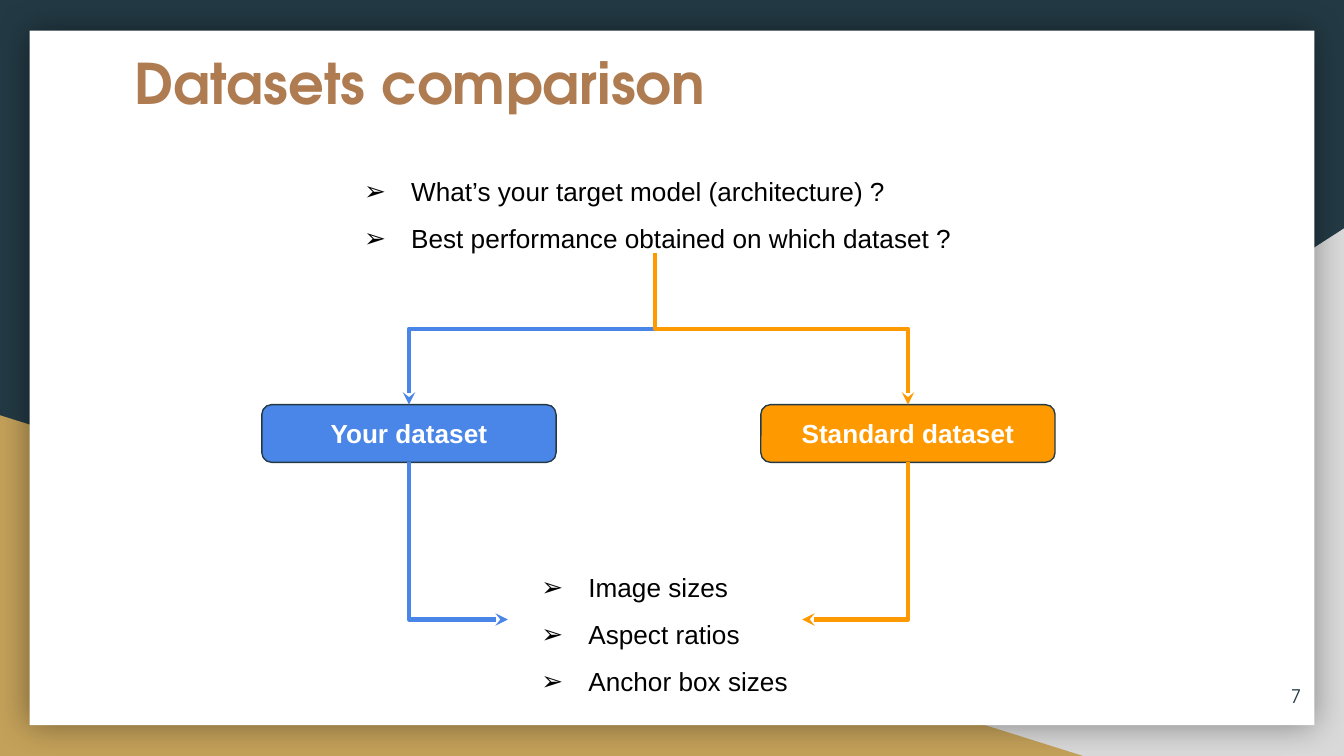
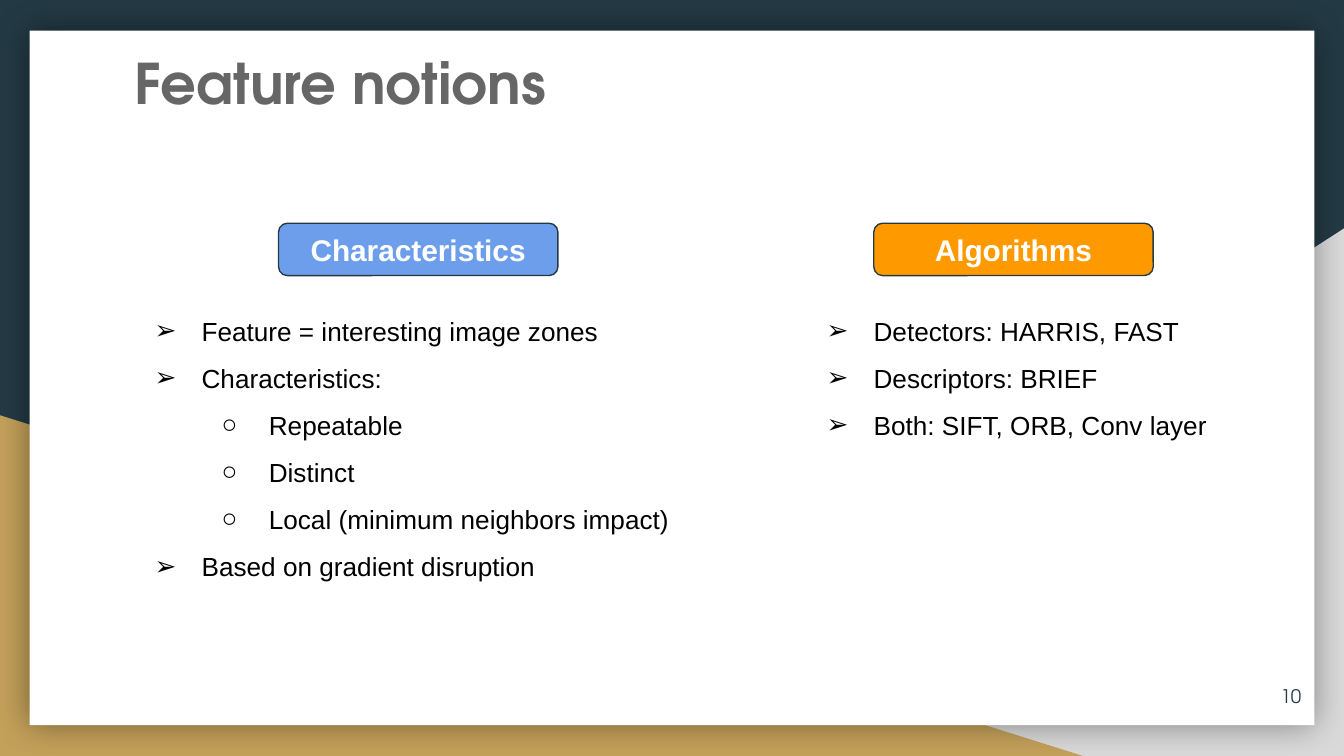
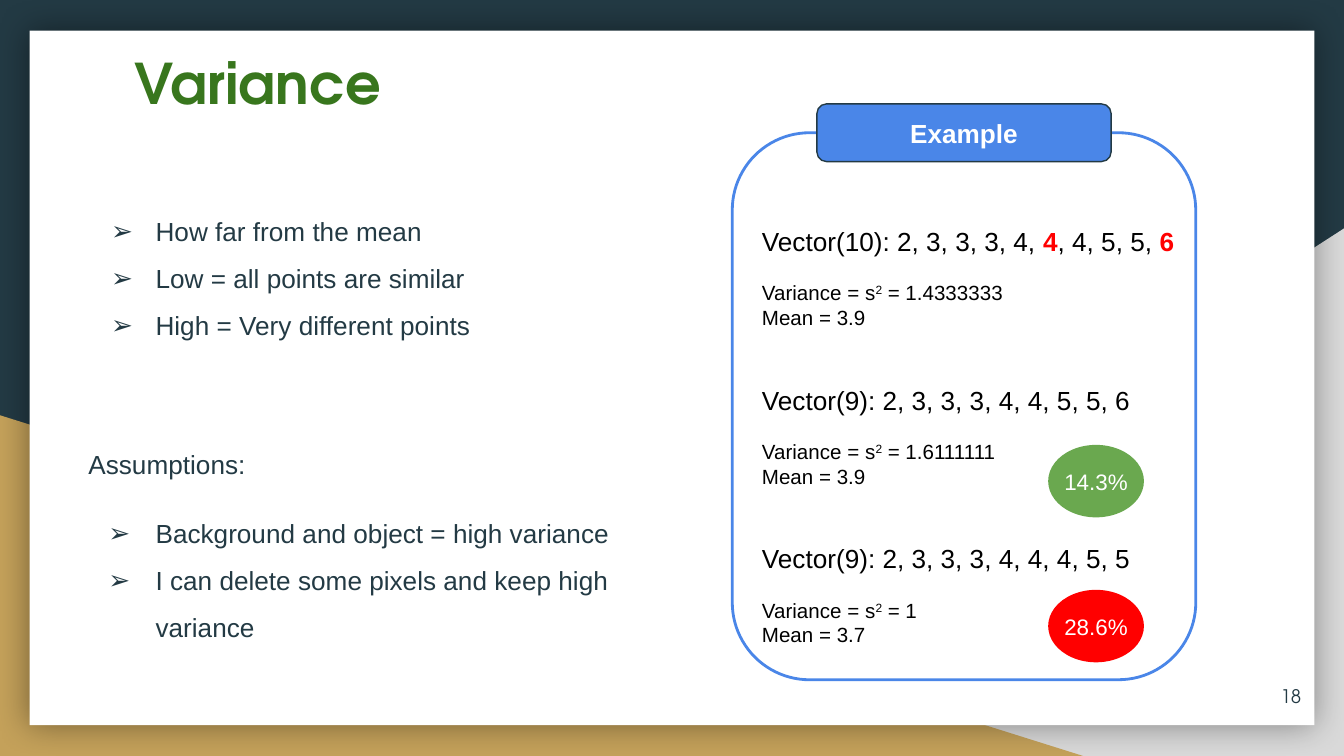
"""Build three slides on datasets, features and variance."""
from lxml import etree
from pptx import Presentation
from pptx.dml.color import RGBColor
from pptx.enum.shapes import MSO_CONNECTOR, MSO_SHAPE
from pptx.enum.text import MSO_ANCHOR, MSO_AUTO_SIZE, PP_ALIGN
from pptx.oxml.ns import qn
from pptx.util import Cm, Pt

ELBOW = MSO_CONNECTOR.ELBOW
RECT, ROUND = MSO_SHAPE.RECTANGLE, MSO_SHAPE.ROUNDED_RECTANGLE
TRIANGLE, OVAL = MSO_SHAPE.RIGHT_TRIANGLE, MSO_SHAPE.OVAL
TOP, MIDDLE = MSO_ANCHOR.TOP, MSO_ANCHOR.MIDDLE
LEFT, CENTER, RIGHT = PP_ALIGN.LEFT, PP_ALIGN.CENTER, PP_ALIGN.RIGHT
NO_FIT = MSO_AUTO_SIZE.NONE

NAVY = RGBColor(0x23, 0x3A, 0x44)
GREY = RGBColor(0xD9, 0xD9, 0xD9)
GOLD = RGBColor(0xC4, 0xA1, 0x5A)
WHITE = RGBColor(0xFF, 0xFF, 0xFF)
BLACK = RGBColor(0, 0, 0)
BLUE = RGBColor(0x4A, 0x86, 0xE8)
LIGHT_BLUE = RGBColor(0x6D, 0x9E, 0xEB)
ORANGE = RGBColor(0xFF, 0x99, 0x00)
RED = RGBColor(0xFF, 0, 0)
GREEN = RGBColor(0x6A, 0xA8, 0x4F)
BROWN = RGBColor(0xAF, 0x7B, 0x51)
DARK_GREY = RGBColor(0x66, 0x66, 0x66)
DARK_GREEN = RGBColor(0x38, 0x76, 0x1D)

BODY_FONT, TITLE_FONT = "Arial", "TeX Gyre Adventor"
INSET = 0.25
BADGE_W, BADGE_H = 5.56, 1.09
ARROW, CIRCLE = "➢", "○"


def apply(obj, **values):
    """Set each given attribute on an object."""
    for name, value in values.items():
        setattr(obj, name, value)


def place(sp, box):
    """Move a shape to a box given in centimetres."""
    apply(sp, **dict(zip(("left", "top", "width", "height"), map(Cm, box))))


def add_run(p, text, color, size, name=BODY_FONT, bold=False):
    """Add one formatted run to a paragraph."""
    r = p.add_run()
    r.text = text
    apply(r.font, size=Pt(size), name=name, bold=bold)
    r.font.color.rgb = color
    return r


def set_frame(tf, anchor=TOP, inset=INSET):
    """Give a text frame its insets, wrapping and anchor."""
    margin = Cm(inset)
    apply(tf, word_wrap=True, auto_size=NO_FIT, vertical_anchor=anchor,
          margin_left=margin, margin_right=margin,
          margin_top=margin, margin_bottom=margin)


def add_text(s, box):
    """Add an empty text box and return its frame."""
    tf = s.shapes.add_textbox(*map(Cm, box)).text_frame
    set_frame(tf)
    return tf


def add_panel(s, kind, box, fill=None, line=None, width=0.75):
    """Add a preset shape with a flat fill and outline."""
    sp = s.shapes.add_shape(kind, *map(Cm, box))
    sp.shadow.inherit = False
    if fill is None:
        sp.fill.background()
    else:
        sp.fill.solid()
        sp.fill.fore_color.rgb = fill
    if line is None:
        sp.line.fill.background()
    else:
        sp.line.color.rgb = line
        sp.line.width = Pt(width)
    return sp


def add_label(sp, text, size, bold=False, inset=INSET):
    """Centre a white label in a shape."""
    tf = sp.text_frame
    set_frame(tf, MIDDLE, inset)
    p = tf.paragraphs[0]
    p.alignment = CENTER
    add_run(p, text, WHITE, size, bold=bold)


def add_badge(s, box, text, fill, size=14):
    """Add a rounded heading badge."""
    add_label(add_panel(s, ROUND, box, fill, NAVY), text, size, bold=True)


def set_bullet(p, char, color, level, hang):
    """Give a paragraph a coloured bullet with a hanging indent."""
    pPr = p._p.get_or_add_pPr()
    pPr.set("marL", str(Cm(1.27 * (level + 1))))
    pPr.set("indent", str(Cm(-hang)))
    clr = etree.SubElement(pPr, qn("a:buClr"))
    etree.SubElement(clr, qn("a:srgbClr")).set("val", str(color))
    etree.SubElement(pPr, qn("a:buChar")).set("char", char)


def clear_bullet(p):
    """Remove a paragraph's bullet and indent."""
    pPr = p._p.get_or_add_pPr()
    pPr.set("marL", "0")
    pPr.set("indent", "0")
    etree.SubElement(pPr, qn("a:buNone"))


def fill_list(sp, box, items, color=BLACK):
    """Fill a body placeholder from (text, bullet, space before, hang) items."""
    place(sp, box)
    tf = sp.text_frame
    set_frame(tf)
    for i, (text, char, before, hang) in enumerate(items):
        p = tf.add_paragraph() if i else tf.paragraphs[0]
        level = int(char == CIRCLE)
        apply(p, level=level, alignment=LEFT, line_spacing=1.5,
              space_before=Pt(before))
        if char:
            set_bullet(p, char, color, level, hang)
        else:
            clear_bullet(p)
        add_run(p, text, color, 14)


def bullets(*texts, char=ARROW):
    """Make plain list items from texts."""
    return [(text, char, 0, 0.89) for text in texts]


def add_bent_arrow(s, start, end, color, preset="bentConnector3"):
    """Draw an elbow arrow that leaves its start vertically."""
    (x1, y1), (x2, y2) = start, end
    w, h = y2 - y1, abs(x2 - x1)
    x, y = (x1 + x2 - w) / 2, (y1 + y2 - h) / 2
    cxn = s.shapes.add_connector(ELBOW, Cm(x), Cm(y), Cm(x + w), Cm(y + h))
    cxn.line.color.rgb = color
    cxn.line.width = Pt(2.25)
    spPr = cxn.element.spPr
    xfrm = spPr.find(qn("a:xfrm"))
    xfrm.set("rot", "16200000" if x2 > x1 else "5400000")
    if x2 > x1:
        xfrm.set("flipH", "1")
    spPr.find(qn("a:prstGeom")).set("prst", preset)
    etree.SubElement(spPr.find(qn("a:ln")), qn("a:tailEnd")).set("type", "stealth")
    etree.SubElement(spPr, qn("a:effectLst"))


def decorate_layout(s):
    """Put the background, triangles and white page on the slide's layout."""
    layout = s.slide_layout
    layout.background.fill.solid()
    layout.background.fill.fore_color.rgb = NAVY
    grey = add_panel(s, TRIANGLE, (9.96, 4.32, 15.44, 9.97), GREY)
    grey.element.spPr.find(qn("a:xfrm")).set("flipH", "1")
    gold = add_panel(s, TRIANGLE, (0, 7.85, 20.47, 6.44), GOLD)
    page = add_panel(s, RECT, (0.56, 0.58, 24.28, 13.13), WHITE)
    effects = page.element.spPr.find(qn("a:effectLst"))
    shadow = etree.SubElement(effects, qn("a:outerShdw"), blurRad=str(Pt(18)))
    clr = etree.SubElement(shadow, qn("a:srgbClr"), val=str(BLACK))
    etree.SubElement(clr, qn("a:alpha"), val="40000")
    for i, sp in enumerate((grey, gold, page)):
        layout.shapes.element.insert(2 + i, sp.element)
    place(layout.placeholders[0], (2.29, 0.66, 20.85, 2.64))


def add_slide(prs, title, color, number):
    """Add a slide with its title and page number."""
    s = prs.slides.add_slide(prs.slide_layouts[3])
    tf = s.shapes.title.text_frame
    set_frame(tf)
    p = tf.paragraphs[0]
    p.alignment = LEFT
    add_run(p, title, color, 30, TITLE_FONT, True)
    tf = add_text(s, (23.32, 12.62, 1.52, 1.09))
    tf.vertical_anchor = MIDDLE
    p = tf.paragraphs[0]
    p.alignment = RIGHT
    add_run(p, number, NAVY, 10, TITLE_FONT)
    return s


def add_flow(s, box):
    """Draw questions that lead through two datasets to shared criteria."""
    x, y, w, h = box
    list_w, question_h, answer_h = 12.27, 2.01, 2.9
    questions, answers = s.placeholders[1], s.placeholders[2]
    fill_list(questions, (x + 1.3, y, list_w, question_h), bullets(
        "What’s your target model (architecture) ?",
        "Best performance obtained on which dataset ?"))
    answer_x, answer_y = x + 4.65, y + h - answer_h
    fill_list(answers, (answer_x, answer_y, BADGE_W, answer_h), bullets(
        "Image sizes", "Aspect ratios", "Anchor box sizes"))
    start = (x + 1.3 + list_w / 2, y + question_h)
    badge_y, answer_mid = y + 4.88, answer_y + answer_h / 2
    for text, color, left, side in (
            ("Your dataset", BLUE, x, answer_x),
            ("Standard dataset", ORANGE, x + w - BADGE_W, answer_x + BADGE_W)):
        add_badge(s, (left, badge_y, BADGE_W, BADGE_H), text, color)
        mid = left + BADGE_W / 2
        add_bent_arrow(s, start, (mid, badge_y), color)
        add_bent_arrow(s, (mid, badge_y + BADGE_H), (side, answer_mid),
                       color, "bentConnector2")


def add_column(s, sp, box, heading, color, items):
    """Place a centred heading badge above a list."""
    x, y, w, h = box
    badge_w, badge_h, list_top = 5.28, 0.99, 1.19
    fill_list(sp, (x, y + list_top, w, h - list_top), items)
    add_badge(s, (x + (w - badge_w) / 2, y, badge_w, badge_h), heading, color, 16)


def add_vector(s, box, parts, variance, mean):
    """Write one vector with its variance and mean; odd parts stand out."""
    tf = add_text(s, box)
    p = tf.paragraphs[0]
    for i, part in enumerate(parts):
        marked = i % 2 == 1
        add_run(p, part, RED if marked else BLACK, 14, bold=marked)
    p = tf.add_paragraph()
    p.space_before = Pt(12.7)
    add_run(p, "Variance = s", BLACK, 11)
    add_run(p, "2", BLACK, 11)._r.get_or_add_rPr().set("baseline", "30000")
    add_run(p, f" = {variance}", BLACK, 11)
    add_run(tf.add_paragraph(), f"Mean = {mean}", BLACK, 11)


def add_example(s, box):
    """Draw the framed example with three vectors and two changes."""
    x, y, w, h = box
    add_panel(s, ROUND, box, line=BLUE, width=1.5)
    add_badge(s, (x + (w - BADGE_W) / 2, y - BADGE_H / 2, BADGE_W, BADGE_H),
              "Example", BLUE)
    vectors = (
        (("Vector(10): 2, 3, 3, 3, 4, ", "4", ", 4, 5, 5, ", "6"), "1.4333333", "3.9"),
        (("Vector(9): 2, 3, 3, 3, 4, 4, 5, 5, 6",), "1.6111111", "3.9"),
        (("Vector(9): 2, 3, 3, 3, 4, 4, 4, 5, 5",), "1", "3.7"))
    for i, vector in enumerate(vectors):
        add_vector(s, (x + 0.31, y + 1.5 + 3 * i, 8.4, 2.51), *vector)
    for text, color, top in (("14.3%", GREEN, 5.9), ("28.6%", RED, 8.64)):
        sp = add_panel(s, OVAL, (x + 5.97, y + top, 1.81, 1.37), color)
        add_label(sp, text, 12, inset=0)


def build_datasets(prs):
    """Build the dataset comparison slide."""
    s = add_slide(prs, "Datasets comparison", BROWN, "7")
    decorate_layout(s)
    add_flow(s, (4.95, 2.77, 14.99, 10.39))


def build_features(prs):
    """Build the feature notions slide."""
    s = add_slide(prs, "Feature notions", DARK_GREY, "10")
    traits = (bullets("Feature = interesting image zones", "Characteristics:")
              + bullets("Repeatable", "Distinct",
                        "Local (minimum neighbors impact)", char=CIRCLE)
              + bullets("Based on gradient disruption"))
    algorithms = bullets("Detectors: HARRIS, FAST", "Descriptors: BRIEF",
                         "Both: SIFT, ORB, Conv layer")
    add_column(s, s.placeholders[1], (2.29, 4.22, 11.23, 6.8),
               "Characteristics", LIGHT_BLUE, traits)
    add_column(s, s.placeholders[2], (14.99, 4.22, 8.33, 4.09),
               "Algorithms", ORANGE, algorithms)


def build_variance(prs):
    """Build the variance slide."""
    s = add_slide(prs, "Variance", DARK_GREEN, "18")
    spare = s.placeholders[2].element
    spare.getparent().remove(spare)
    fill_list(s.placeholders[1], (1.42, 3.53, 11.38, 8.69), [
        ("How far from the mean", ARROW, 12, 0.84),
        ("Low = all points are similar", ARROW, 0, 0.84),
        ("High = Very different points", ARROW, 0, 0.84),
        ("Assumptions:", "", 49, 0),
        ("Background and object = high variance", ARROW, 12, 0.89),
        ("I can delete some pixels and keep high variance", ARROW, 0, 0.89),
    ], NAVY)
    add_example(s, (13.84, 2.51, 8.76, 10.34))


def main():
    """Build and save the presentation."""
    prs = Presentation()
    apply(prs, slide_width=Cm(25.4), slide_height=Cm(14.29))
    build_datasets(prs)
    build_features(prs)
    build_variance(prs)
    prs.save("out.pptx")


if __name__ == "__main__":
    main()
